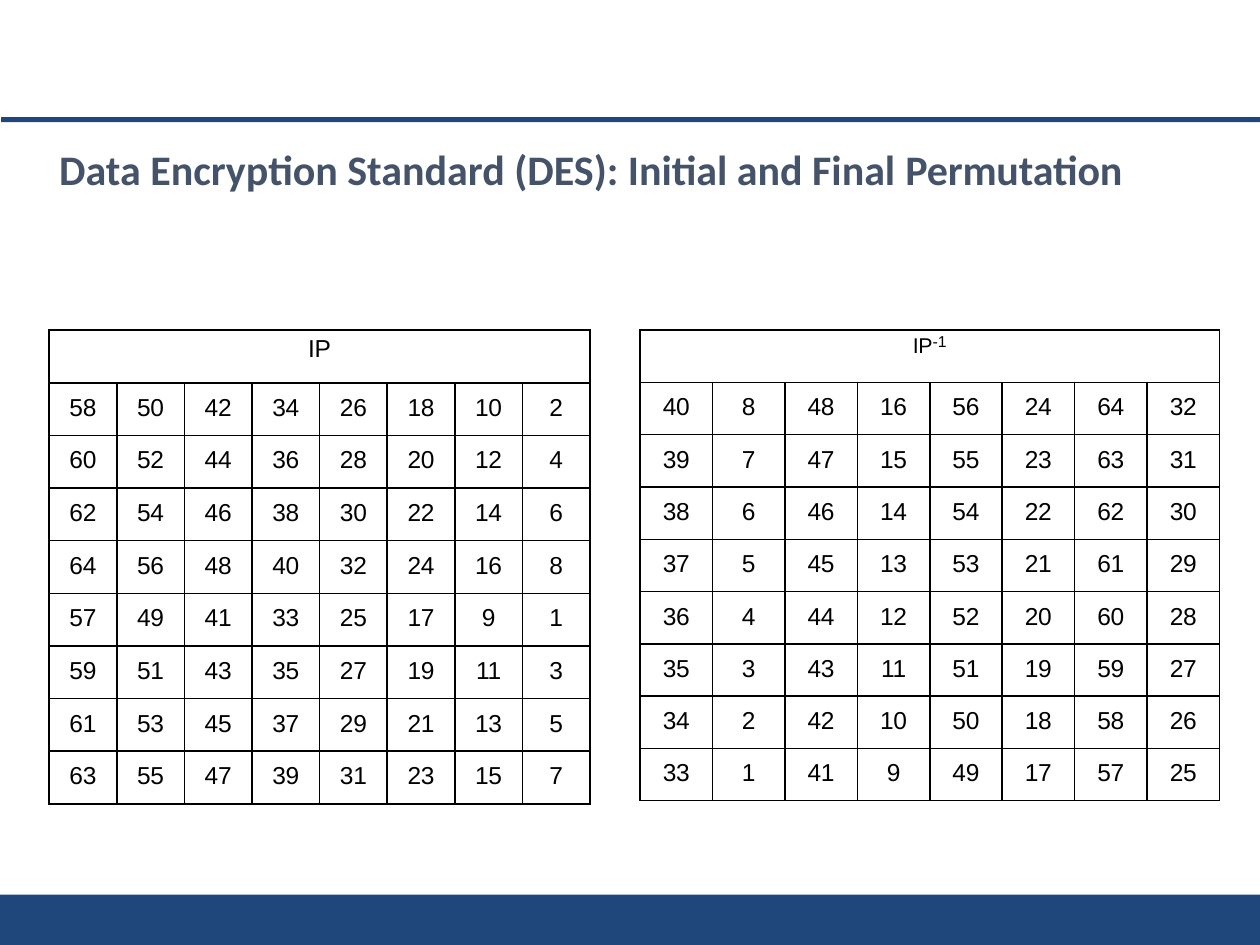
from lxml import etree
from pptx import Presentation
from pptx import util as u
from pptx.dml.color import RGBColor
from pptx.enum import shapes, text
from pptx.oxml import ns

COLORS = {"bar": "1F477B", "title": "44536A", "ink": "000000"}

deck = Presentation()
deck.slide_width, deck.slide_height = u.Inches(10), u.Inches(7.5)
COL, ROW = deck.slide_width / 100, deck.slide_height / 75
page = deck.slides.add_slide(deck.slide_layouts[6])


def grid(left, top, width, height):
    return int(left * COL), int(top * ROW), int(width * COL), int(height * ROW)


def add_span(para, words, size=14, font="Arial", color="ink", bold=False, spacing=0, baseline=0):
    span = para.add_run()
    span.text = words
    span.font.size = u.Pt(size)
    span.font.name = font
    span.font.bold = bold
    span.font.color.rgb = RGBColor.from_string(COLORS[color])
    properties = span.font._element
    if spacing:
        properties.set("spc", str(spacing))
    if baseline:
        properties.set("baseline", str(baseline))


for place in [(0, 71, 100, 4), (0.1, 9.3, 99.9, 0.4)]:
    bar = page.shapes.add_shape(shapes.MSO_SHAPE.RECTANGLE, *grid(*place))
    bar.shadow.inherit = False
    bar.fill.solid()
    bar.fill.fore_color.rgb = RGBColor.from_string(COLORS["bar"])
    bar.line.fill.background()

title = page.shapes.add_textbox(*grid(4.7, 11.3, 88, 4.3))
frame = title.text_frame
frame.word_wrap = True
frame.margin_left = frame.margin_right = frame.margin_bottom = 0
frame.margin_top = u.Inches(0.01)
para = frame.paragraphs[0]
para.space_before = u.Pt(1)
title_style = dict(size=24, font="Calibri", color="title", bold=True)
add_span(para, "Data Encryption Standard (DES): Initial and Final ", **title_style)
add_span(para, "Permutation", spacing=-10, **title_style)

initial = [[start - 8 * step for step in range(8)] for start in (58, 60, 62, 64, 57, 59, 61, 63)]
final = [[start - step for start in (40, 8, 48, 16, 56, 24, 64, 32)] for step in range(8)]

tables = []
for place, numbers in [((3.9, 26.2, 42.95, 37.6), initial), ((50.8, 26.2, 46, 37.35), final)]:
    table = page.shapes.add_table(9, 8, *grid(*place)).table
    table.first_row = table.horz_banding = False
    tables.append(table)
    for cell in table.iter_cells():
        cell.margin_left = cell.margin_right = cell.margin_bottom = 0
        cell.margin_top = u.Inches(0.09)
        cell.text_frame.paragraphs[0].alignment = text.PP_ALIGN.CENTER
        borders = cell._tc.get_or_add_tcPr()
        for side in ("a:lnL", "a:lnR", "a:lnT", "a:lnB"):
            line = etree.SubElement(borders, ns.qn(side), w=str(u.Pt(1)))
            fill = etree.SubElement(line, ns.qn("a:solidFill"))
            etree.SubElement(fill, ns.qn("a:srgbClr"), val=COLORS["ink"])
        cell.fill.background()
    table.cell(0, 0).merge(table.cell(0, 7))
    for row, values in enumerate(numbers, start=1):
        for column, value in enumerate(values):
            para = table.cell(row, column).text_frame.paragraphs[0]
            para.space_before = u.Pt(6.2)
            add_span(para, str(value), spacing=-50 if value < 10 else -20)

initial_head, final_head = [table.cell(0, 0) for table in tables]
initial_head.margin_top = u.Inches(0.04)
para = initial_head.text_frame.paragraphs[0]
para.space_before = u.Pt(3.2)
add_span(para, "IP", spacing=-20)

final_head.margin_top = 0
para = final_head.text_frame.paragraphs[0]
para.line_spacing = u.Pt(15.8)
add_span(para, "IP", size=21, spacing=-20, baseline=-16000)
add_span(para, "-", size=9, spacing=-20)
add_span(para, "1", size=9, spacing=-50)

deck.save("out.pptx")
